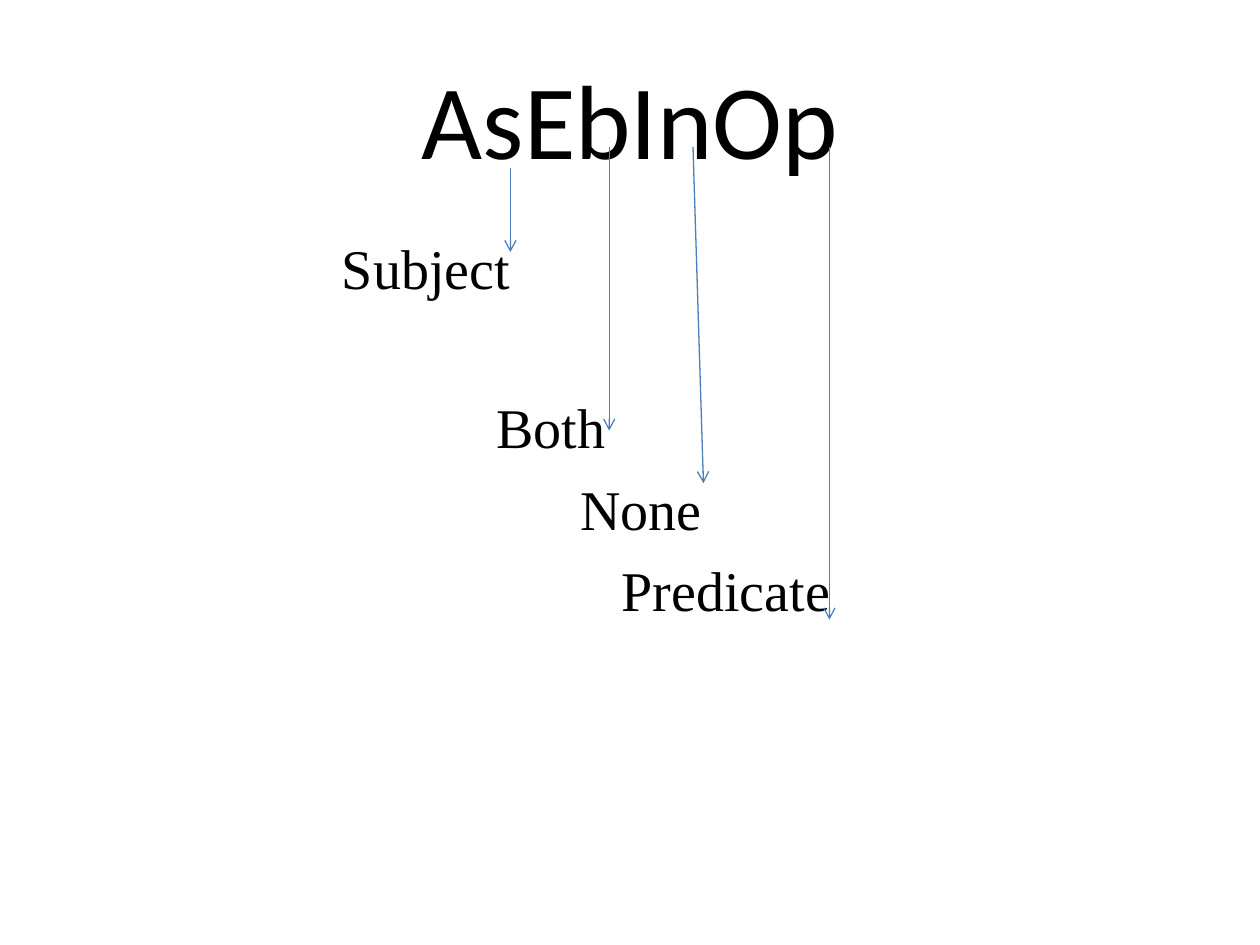
import pptx
import pptx.dml.color
import pptx.enum.shapes
import pptx.enum.text
import pptx.oxml.ns
import pptx.util
import lxml.etree

Cm = pptx.util.Cm
Pt = pptx.util.Pt

COLORS = {"text": "000000", "arrow": "4B7EBC"}
WORDS = [
    ("Subject", 5.37, 0),
    ("Both", 8.48, 52.9),
    ("None", 10.17, 8.1),
    ("Predicate", 11.01, 8.1),
]
ARROWS = [
    (10.29, 3.39, 10.29, 5.08),
    (12.28, 2.96, 12.28, 8.68),
    (13.97, 2.96, 14.18, 9.74),
    (16.72, 2.96, 16.72, 12.49),
]


class SlideBuilder:
    def __init__(self, presentation):
        self.slide = presentation.slides.add_slide(presentation.slide_layouts[1])

    def color(self, name):
        return pptx.dml.color.RGBColor.from_string(COLORS[name])

    def place(self, shape, left, top, width, height):
        shape.left, shape.top = Cm(left), Cm(top)
        shape.width, shape.height = Cm(width), Cm(height)
        shape.text_frame.auto_size = pptx.enum.text.MSO_AUTO_SIZE.NONE

    def format_runs(self, paragraph, font_name, size):
        for run in paragraph.runs:
            run.font.name = font_name
            run.font.size = Pt(size)
            run.font.color.rgb = self.color("text")

    def title(self, text):
        shape = self.slide.shapes.title
        self.place(shape, 1.27, 1.27, 22.86, 3.61)
        text_frame = shape.text_frame
        text_frame.text = text
        text_frame.vertical_anchor = pptx.enum.text.MSO_ANCHOR.MIDDLE
        text_frame.margin_bottom = Cm(1.56)
        paragraph = text_frame.paragraphs[0]
        paragraph.alignment = pptx.enum.text.PP_ALIGN.CENTER
        self.format_runs(paragraph, "Calibri", 60.3)

    def staircase(self, words):
        shape = self.slide.placeholders[1]
        self.place(shape, 1.27, 4.45, 22.86, 12.57)
        text_frame = shape.text_frame
        text_frame.text = "\n".join(word for word, _, _ in words)
        text_frame.margin_top = Cm(0.25)
        for paragraph, (_, indent, space_before) in zip(text_frame.paragraphs, words):
            paragraph.space_before = Pt(space_before)
            properties = paragraph._p.get_or_add_pPr()
            properties.set("marL", str(Cm(indent)))
            properties.set("indent", "0")
            lxml.etree.SubElement(properties, pptx.oxml.ns.qn("a:buNone"))
            self.format_runs(paragraph, "Times New Roman", 32)

    def arrow(self, *points):
        connector = self.slide.shapes.add_connector(
            pptx.enum.shapes.MSO_CONNECTOR.STRAIGHT, *map(Cm, points)
        )
        connector.line.color.rgb = self.color("arrow")
        connector.line.width = Pt(0.75)
        line = connector.line._get_or_add_ln()
        lxml.etree.SubElement(line, pptx.oxml.ns.qn("a:tailEnd"), type="arrow")
        lxml.etree.SubElement(
            connector._element.spPr, pptx.oxml.ns.qn("a:effectLst")
        )


def main():
    presentation = pptx.Presentation()
    presentation.slide_width = Cm(25.4)
    presentation.slide_height = Cm(19.05)
    builder = SlideBuilder(presentation)
    builder.title("AsEbInOp")
    builder.staircase(WORDS)
    for points in ARROWS:
        builder.arrow(*points)
    presentation.save("out.pptx")


if __name__ == "__main__":
    main()
